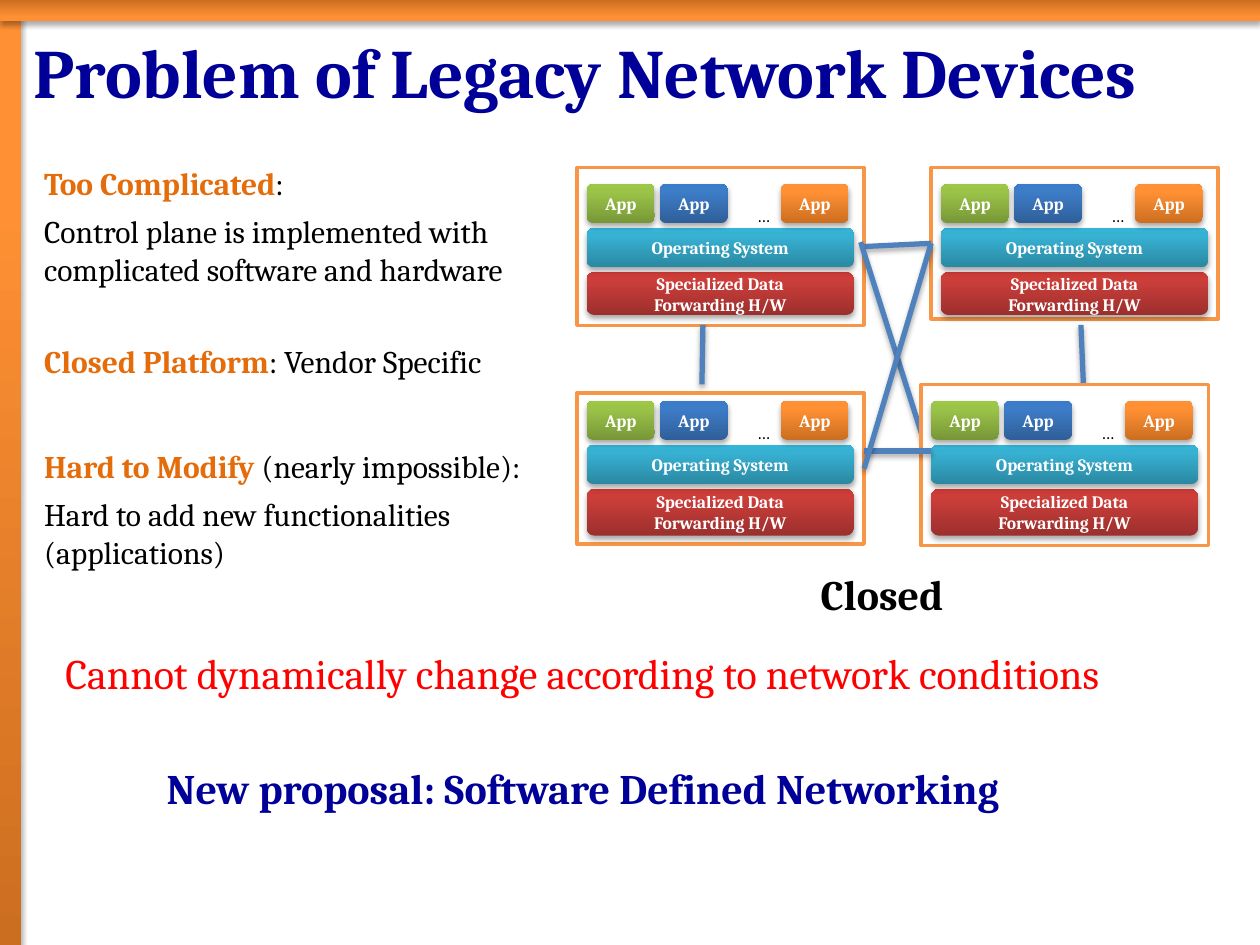
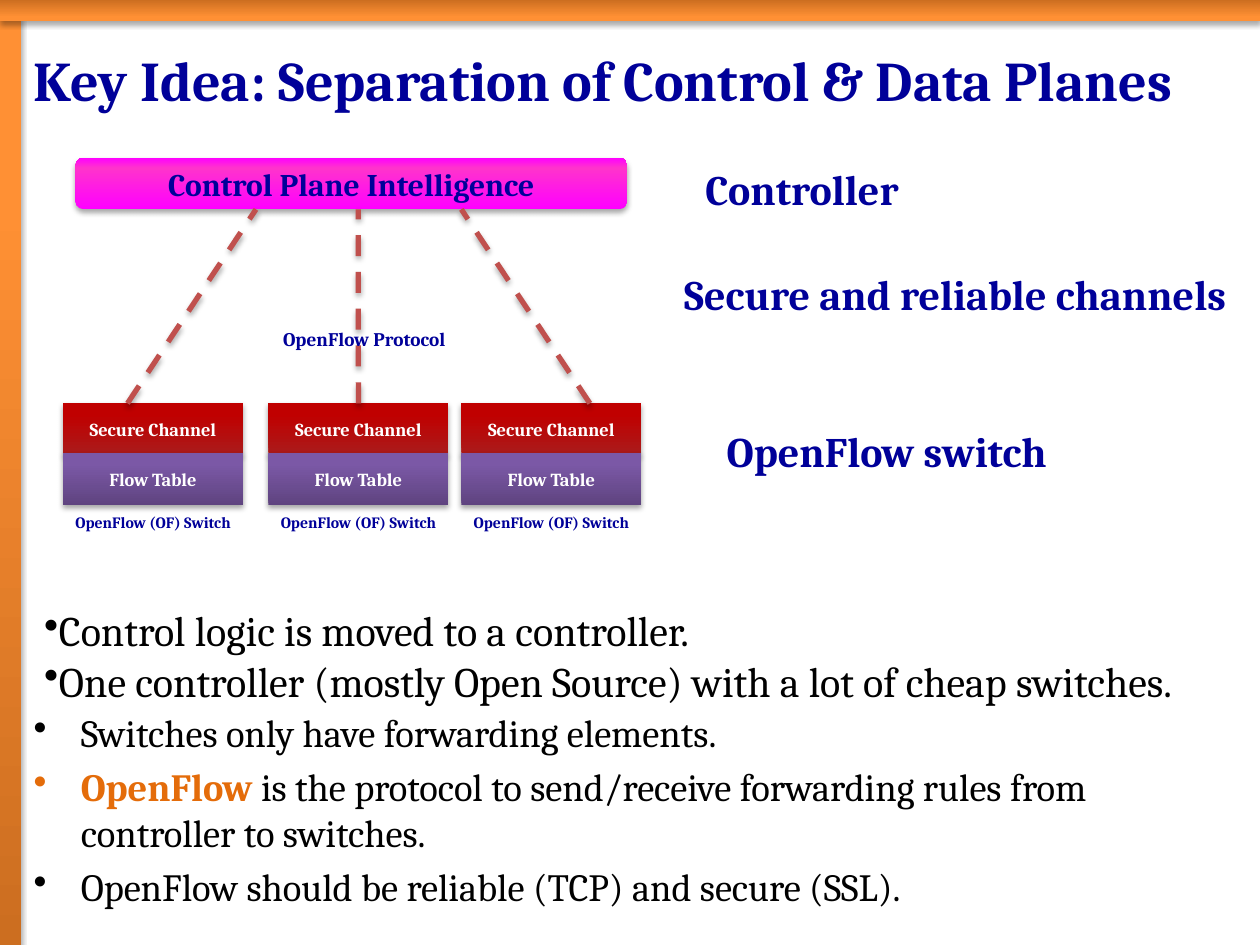
from dataclasses import dataclass

from lxml import etree
from pptx import Presentation
from pptx import util as u
from pptx.dml.color import RGBColor
from pptx.enum import dml, shapes, text
from pptx.oxml.ns import qn
from pptx.util import Cm


@dataclass(frozen=True)
class Gradient:
    dark: str
    middle: str
    light: str
    angle: int = 90


@dataclass(frozen=True)
class Theme:
    font: str = "Cambria"
    navy: str = "000099"
    black: str = "000000"
    white: str = "FFFFFF"
    red: str = "FF0000"
    accent: str = "E46C0A"
    frame: str = "F79646"
    link: str = "4F81BD"
    channel: str = "C0504D"
    orange: Gradient = Gradient("CC6E20", "FF9034", "FF9136")
    top_band: Gradient = Gradient("CC6E20", "FF9034", "FF9136", 270)
    green: Gradient = Gradient("779737", "9BC348", "9DC746")
    blue: Gradient = Gradient("2F5F99", "3D7CC7", "3A7CCB")
    teal: Gradient = Gradient("2A88A2", "37B1D2", "34B4D6")
    brick: Gradient = Gradient("9C2F2D", "CB3E3A", "CE3B37")
    magenta: Gradient = Gradient("FF00FF", "FF33CC", "FF00FF")
    crimson: Gradient = Gradient("AA1A1A", "C00000", "C00000")
    purple: Gradient = Gradient("5F4480", "7B58A6", "7C57A8")
    title: float = 39.6
    long_title: float = 32
    heading: float = 24
    bullet: float = 22
    body: float = 18
    protocol: float = 11
    switch: float = 10.5
    block: float = 10
    caption: float = 9


THEME = Theme()
RECT = shapes.MSO_SHAPE.RECTANGLE
ROUND = shapes.MSO_SHAPE.ROUNDED_RECTANGLE
LEFT, CENTER = text.PP_ALIGN.LEFT, text.PP_ALIGN.CENTER


@dataclass(frozen=True)
class Box:
    """Place and size in centimetres."""
    left: float
    top: float
    width: float
    height: float

    def lengths(self) -> list:
        return [Cm(v) for v in (self.left, self.top, self.width, self.height)]


@dataclass(frozen=True)
class Run:
    text: str
    color: str = THEME.black
    bold: bool = False


@dataclass(frozen=True)
class Device:
    frame: Box
    apps_top: float
    hardware_height: float


@dataclass(frozen=True)
class Label:
    text: str
    box: Box


def key(words: str) -> Run:
    return Run(words, THEME.accent, True)


def write(shape, paragraphs, *, size: float, color: str = THEME.black, bold: bool = False,
          align=LEFT, anchor=text.MSO_ANCHOR.TOP, before: float = 0,
          spacing: float = 1, bullet: bool = False, indent: float = 0) -> None:
    """Fill a shape; each paragraph is a string or a list of runs."""
    frame = shape.text_frame
    frame.word_wrap = True
    frame.vertical_anchor = anchor
    for index, content in enumerate(paragraphs):
        paragraph = frame.paragraphs[0] if index == 0 else frame.add_paragraph()
        paragraph.alignment = align
        paragraph.space_before = u.Pt(before)
        paragraph.line_spacing = spacing
        if bullet:
            properties = paragraph._p.get_or_add_pPr()
            properties.set("marL", str(Cm(indent)))
            properties.set("indent", str(-Cm(indent)))
            etree.SubElement(properties, qn("a:buChar"), char="•")
        runs = [Run(content, color, bold)] if isinstance(content, str) else content
        for part in runs:
            run = paragraph.add_run()
            run.text = part.text
            run.font.name = THEME.font
            run.font.size = u.Pt(size)
            run.font.bold = part.bold
            run.font.color.rgb = RGBColor.from_string(part.color)


def add_text(slide, box: Box, *paragraphs, **style) -> None:
    write(slide.shapes.add_textbox(*box.lengths()), paragraphs, **style)


def cast_shadow(effects) -> None:
    shadow = etree.SubElement(effects, qn("a:outerShdw"), blurRad="40000", dist="23000",
                              dir="5400000", rotWithShape="0")
    black = etree.SubElement(shadow, qn("a:srgbClr"), val=THEME.black)
    etree.SubElement(black, qn("a:alpha"), val="35000")


def fill_gradient(shape, gradient: Gradient) -> None:
    shape.fill.gradient()
    shape.fill.gradient_angle = gradient.angle
    stops = shape._element.spPr.find(qn("a:gradFill")).find(qn("a:gsLst"))
    for stop in list(stops):
        stops.remove(stop)
    for position, color in ((0, gradient.dark), (80, gradient.middle), (100, gradient.light)):
        stop = etree.SubElement(stops, qn("a:gs"), pos=str(position * 1000))
        etree.SubElement(stop, qn("a:srgbClr"), val=color)


def add_block(slide, kind, box: Box, fill, *paragraphs, outline: str = "", **style):
    """A gradient block casts a shadow; a plain one does not."""
    shape = slide.shapes.add_shape(kind, *box.lengths())
    shape.shadow.inherit = False
    if outline:
        shape.line.color.rgb = RGBColor.from_string(outline)
        shape.line.width = u.Pt(2)
    else:
        shape.line.fill.background()
    if isinstance(fill, Gradient):
        fill_gradient(shape, fill)
        cast_shadow(shape._element.spPr.find(qn("a:effectLst")))
    else:
        shape.fill.solid()
        shape.fill.fore_color.rgb = RGBColor.from_string(fill)
    if paragraphs:
        write(shape, paragraphs, align=CENTER, anchor=text.MSO_ANCHOR.MIDDLE,
              **{"color": THEME.white, "bold": True, **style})
    return shape


def add_line(slide, start=(0, 0), end=(0, 0), *, color: str = THEME.link,
             dashed: bool = False, begin=None, finish=None) -> None:
    """Draw from start to end; begin and finish are (shape, side) joints."""
    line = slide.shapes.add_connector(shapes.MSO_CONNECTOR.STRAIGHT,
                                      *[Cm(v) for v in (*start, *end)])
    line.line.color.rgb = RGBColor.from_string(color)
    line.line.width = u.Pt(3)
    if dashed:
        line.line.dash_style = dml.MSO_LINE.DASH
    cast_shadow(etree.SubElement(line._element.spPr, qn("a:effectLst")))
    if begin:
        line.begin_connect(*begin)
    if finish:
        line.end_connect(*finish)


def start_slide(deck, title: str, size: float, title_box: Box):
    slide = deck.slides.add_slide(deck.slide_layouts[6])
    add_block(slide, RECT, Box(0, 0.3, 0.43, 18.75), THEME.orange)
    add_block(slide, RECT, Box(0, 0, 25.4, 0.43), THEME.top_band)
    add_text(slide, title_box, title, size=size, color=THEME.navy, bold=True,
             anchor=text.MSO_ANCHOR.MIDDLE)
    return slide


def add_device(slide, device: Device):
    """Draw one closed device and return its frame."""
    frame = add_block(slide, RECT, device.frame, THEME.white, outline=THEME.frame)
    left, top = device.frame.left + 0.2, device.apps_top
    width, height, step = 5.38, 0.79, 0.89
    add_block(slide, ROUND, Box(left, top + 2 * step, width, device.hardware_height),
              THEME.brick, "Specialized Data", "Forwarding H/W", size=THEME.block)
    add_block(slide, ROUND, Box(left, top + step, width, height), THEME.teal,
              "Operating System", size=THEME.block)
    for offset, fill in ((0, THEME.green), (1.47, THEME.blue), (3.91, THEME.orange)):
        add_block(slide, ROUND, Box(left + offset, top, 1.37, height), fill, "App",
                  size=THEME.block)
    add_text(slide, Box(left + 3.18, top + 0.3, 0.53, 0.69), "…", size=THEME.block)
    return frame


def build_legacy_slide(deck) -> None:
    slide = start_slide(deck, "Problem of Legacy Network Devices", THEME.title,
                        Box(0.43, 0.43, 24.33, 1.98))
    add_text(slide, Box(0.64, 3.18, 10.8, 3.76),
             [key("Too Complicated"), Run(":")],
             "Control plane is implemented with complicated software and hardware",
             size=THEME.body, before=6)
    add_text(slide, Box(0.64, 6.78, 10.16, 1.02),
             [key("Closed Platform"), Run(": Vendor Specific")], size=THEME.body)
    add_text(slide, Box(0.64, 8.89, 10.8, 2.77),
             [key("Hard to Modify "), Run("(nearly impossible):")],
             "Hard to add new functionalities (applications)",
             size=THEME.body, before=6)
    add_text(slide, Box(1.27, 15.24, 20.96, 1.27),
             "New proposal: Software Defined Networking",
             size=THEME.heading, color=THEME.navy, bold=True, align=CENTER)

    top_left, top_right, bottom_left = [add_device(slide, device) for device in (
        Device(Box(11.63, 3.38, 5.79, 3.18), 3.71, 0.86),
        Device(Box(18.77, 3.38, 5.79, 3.05), 3.71, 0.86),
        Device(Box(11.63, 7.92, 5.79, 3.05), 8.08, 0.94),
    )]
    add_line(slide, (14.17, 6.55), (14.15, 7.75))
    add_line(slide, begin=(top_left, 3), finish=(top_right, 1))
    add_line(slide, (17.35, 4.88), (18.77, 9.35))
    add_line(slide, (21.79, 6.55), (21.84, 7.75))
    add_device(slide, Device(Box(18.57, 7.75, 5.79, 3.25), 8.08, 0.94))
    add_line(slide, (17.42, 9.09), (18.77, 9.09))
    add_line(slide, begin=(bottom_left, 3), finish=(top_right, 1))

    add_block(slide, ROUND, Box(15.24, 11.23, 5.08, 1.47), THEME.white, "Closed",
              size=THEME.heading, color=THEME.black)
    add_text(slide, Box(1.07, 13.13, 23.06, 1.07),
             "Cannot dynamically change according to network conditions",
             size=THEME.heading, color=THEME.red, spacing=0.8, before=4.8)


def build_separation_slide(deck) -> None:
    slide = start_slide(deck, "Key Idea: Separation of Control & Data Planes",
                        THEME.long_title, Box(0.43, 0.43, 24.97, 2.34))
    add_text(slide, Box(0.43, 14.17, 24.97, 4.24),
             "Switches only have forwarding elements.",
             [key("OpenFlow"), Run(" is the protocol to send/receive forwarding rules "
                                   "from controller to switches.")],
             "OpenFlow should be reliable (TCP) and secure (SSL).",
             size=THEME.bullet, before=4.4, bullet=True, indent=0.95)
    add_block(slide, ROUND, Box(1.52, 3.18, 11.13, 1.04), THEME.magenta,
              "Control Plane Intelligence", size=THEME.body, color=THEME.navy)

    secure_channels = []
    channel_top, controller_bottom, width, height = 8.13, 4.22, 3.63, 1.04
    for left in (1.27, 5.41, 9.3):
        secure_channels.append(
            add_block(slide, RECT, Box(left, channel_top, width, height), THEME.crimson,
                      "Secure Channel", size=THEME.switch))
        add_block(slide, RECT, Box(left, 9.14, width, height), THEME.purple,
                  "Flow Table", size=THEME.switch)
        add_text(slide, Box(left, 10.21, width, 0.99), "OpenFlow (OF) Switch",
                 size=THEME.caption, color=THEME.navy, bold=True, align=CENTER)
    for switch_x, controller_x, joint in ((2.57, 5.16, None),
                                          (7.22, 7.22, (secure_channels[1], 0)),
                                          (11.89, 9.3, None)):
        add_line(slide, (switch_x, channel_top), (controller_x, controller_bottom),
                 color=THEME.channel, dashed=True, begin=joint)
    add_text(slide, Box(3.33, 6.48, 8.03, 0.74), "OpenFlow Protocol",
             size=THEME.protocol, color=THEME.navy, bold=True, align=CENTER)

    for label in (Label("Controller", Box(13.97, 3.18, 8.69, 1.27)),
                  Label("OpenFlow switch", Box(14.4, 8.46, 7.21, 1.27)),
                  Label("Secure and reliable channels", Box(13.54, 5.28, 11.79, 1.27))):
        add_text(slide, label.box, label.text, size=THEME.heading, color=THEME.navy,
                 bold=True)
    add_text(slide, Box(0.64, 12.07, 24.76, 2.31),
             "Control logic is moved to a controller.",
             "One controller (mostly Open Source) with a lot of cheap switches.",
             size=THEME.heading, bullet=True)


def main() -> None:
    deck = Presentation()
    deck.slide_width, deck.slide_height = Cm(25.4), Cm(19.05)
    build_legacy_slide(deck)
    build_separation_slide(deck)
    deck.save("out.pptx")


if __name__ == "__main__":
    main()
